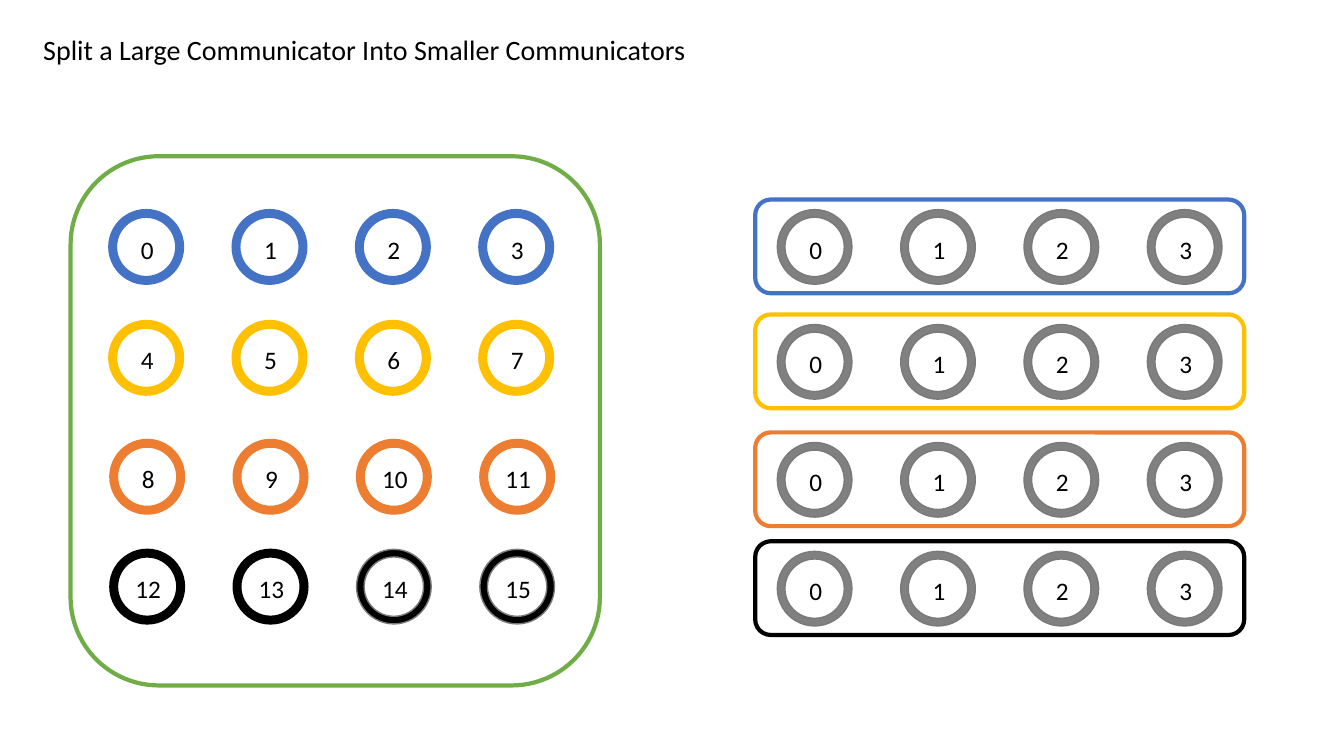
import dataclasses

import pptx
import pptx.dml.color
import pptx.enum.shapes
import pptx.enum.text
import pptx.shapes.autoshape
import pptx.shapes.shapetree
import pptx.util

Inches = pptx.util.Inches
Kind = pptx.enum.shapes.MSO_SHAPE
Align = pptx.enum.text.PP_ALIGN
Anchor = pptx.enum.text.MSO_ANCHOR
Tree = pptx.shapes.shapetree.SlideShapes | pptx.shapes.shapetree.GroupShapes

BLACK, GREEN, GRAY, EDGE = "000000", "70AD47", "808080", "7A7A7A"
COLS = 4
STEP = 3.67 / 3  # from one ring to the next
RING = 0.74
SPLIT = 7.71  # left edge of the rings in the small groups


@dataclasses.dataclass
class Row:
    color: str
    left: float
    top: float
    new_top: float
    edges: list[str]


@dataclasses.dataclass
class Box:
    left: float
    top: float
    width: float
    height: float

    def place(self) -> list[int]:
        return [Inches(n) for n in dataclasses.astuple(self)]


ROWS = [
    Row("4472C4", 1.08, 2.08, 2.08, ["4472C4"] * COLS),
    Row("FFC000", 1.08, 3.18, 3.22, ["FFC000"] * COLS),
    Row("ED7D31", 1.09, 4.36, 4.39, ["ED7D31"] * COLS),
    Row(BLACK, 1.09, 5.45, 5.47, [BLACK, BLACK, EDGE, EDGE]),
]


def paint(code: str) -> pptx.dml.color.RGBColor:
    return pptx.dml.color.RGBColor.from_string(code)


def add_shape(tree: Tree, kind: Kind, box: Box, edge: str,
              width: float) -> pptx.shapes.autoshape.Shape:
    shape = tree.add_shape(kind, *box.place())
    shape.shadow.inherit = False
    shape.line.color.rgb = paint(edge)
    shape.line.width = pptx.util.Pt(width)
    return shape


def add_frame(tree: Tree, box: Box, edge: str) -> None:
    add_shape(tree, Kind.ROUNDED_RECTANGLE, box, edge, 3).fill.background()


def add_text(tree: Tree, box: Box, text: str, size: int,
             align: Align, anchor: Anchor) -> None:
    frame = tree.add_textbox(*box.place()).text_frame
    frame.word_wrap = False
    frame.auto_size = pptx.enum.text.MSO_AUTO_SIZE.SHAPE_TO_FIT_TEXT
    frame.vertical_anchor = anchor
    para = frame.paragraphs[0]
    para.text = text
    para.alignment = align
    para.font.name = "Calibri"
    para.font.size = pptx.util.Pt(size)
    para.font.color.rgb = paint(BLACK)


def add_rank(tree: Tree, left: float, top: float, rank: int,
             fill: str, edge: str) -> None:
    ring = add_shape(tree, Kind.DONUT, Box(left, top, RING, RING), edge, 1)
    ring.adjustments[0] = 0.102
    ring.fill.solid()
    ring.fill.fore_color.rgb = paint(fill)
    width = 0.33 if rank < 10 else 0.46
    label = Box(left + 0.38 - width / 2, top + 0.19, width, 0.4)
    add_text(tree, label, str(rank), 18, Align.CENTER, Anchor.MIDDLE)


deck = pptx.Presentation()
deck.slide_width, deck.slide_height = Inches(13.33), Inches(7.5)
page = deck.slides.add_slide(deck.slide_layouts[6]).shapes

# Title
add_text(page, Box(0.33, 0.27, 6.63, 0.44),
         "Split a Large Communicator Into Smaller Communicators",
         20, Align.LEFT, Anchor.TOP)

# Large communicator: ranks 0 to 15
add_frame(page, Box(0.7, 1.55, 5.25, 5.25), GREEN)
for r, row in enumerate(ROWS):
    for c, edge in enumerate(row.edges):
        group = page.add_group_shape().shapes
        add_rank(group, row.left + c * STEP, row.top, r * COLS + c,
                 row.color, edge)

# Smaller communicators: ranks 0 to 3 in each
for row in ROWS:
    group = page.add_group_shape().shapes
    add_frame(group, Box(SPLIT - 0.22, row.new_top - 0.1, 4.85, 0.93),
              row.color)
    for c in range(COLS):
        add_rank(group, SPLIT + c * STEP, row.new_top, c, GRAY, EDGE)

deck.save("out.pptx")
